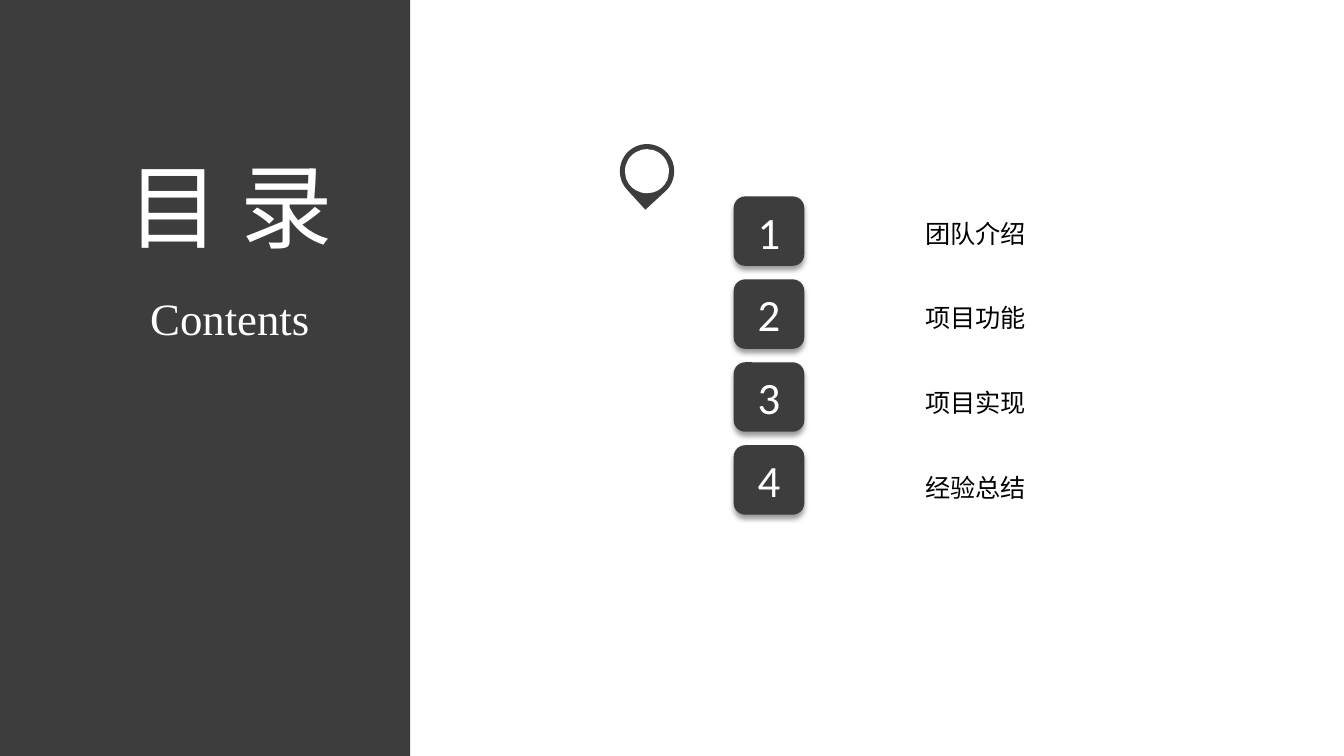
from dataclasses import dataclass

from lxml.etree import SubElement
from pptx import Presentation
from pptx.dml.color import RGBColor
from pptx.enum.shapes import MSO_SHAPE as Preset
from pptx.enum.text import MSO_ANCHOR as Anchor, MSO_AUTO_SIZE as AutoSize, PP_ALIGN as Align
from pptx.oxml.ns import qn
from pptx.util import Cm, Pt

TITLE = "目 录"
SUBTITLE = "Contents"
TOPICS = ["团队介绍", "项目功能", "项目实现", "经验总结"]


@dataclass(frozen=True)
class Theme:
    dark: RGBColor = RGBColor(0x3D, 0x3D, 0x3D)
    white: RGBColor = RGBColor(0xFF, 0xFF, 0xFF)
    black: RGBColor = RGBColor(0, 0, 0)
    chinese: str = "Noto Sans CJK SC"
    serif: str = "Times New Roman"
    digits: str = "Calibri"
    title_size: int = 66
    heading_size: int = 32
    topic_size: int = 18


THEME = Theme()
SLIDE_WIDTH, SLIDE_HEIGHT = 33.87, 19.05
PANEL_WIDTH = 10.34
TITLE_BOX = (2.59, 3.63, 6.4, 3.07)
SUBTITLE_BOX = (3.51, 7.21, 4.57, 1.63)
TILE_LEFT, TILE_TOP, TILE_WIDTH, TILE_HEIGHT, TILE_PITCH = 18.49, 4.95, 1.78, 1.75, 2.09
TOPICS_BOX = (20.9, 5.28, 7.37, 7.6)
TOPIC_LINE, TOPIC_GAP = 24, 36.5
PIN_LEFT, PIN_TOP, PIN_SIZE, PIN_RIM = 15.62, 3.63, 1.37, 0.13


def apply(target, values):
    for name, value in values.items():
        setattr(target, name, value)


def place(shape, box):
    apply(shape, dict(zip(("left", "top", "width", "height"), map(Cm, box))))


def add_block(slide, preset, box, color):
    shape = slide.shapes.add_shape(preset, *map(Cm, box))
    shape.shadow.inherit = False
    shape.fill.solid()
    shape.fill.fore_color.rgb = color
    shape.line.fill.background()
    return shape


def write(shape, lines, font, size, color, anchor=Anchor.TOP, wrap=True, gap=0, line=None):
    frame = shape.text_frame
    frame.text = "\n".join(lines)
    apply(frame, {"word_wrap": wrap, "auto_size": AutoSize.NONE, "vertical_anchor": anchor})
    for index, paragraph in enumerate(frame.paragraphs):
        properties = paragraph._p.get_or_add_pPr()
        apply(paragraph, {
            "alignment": Align.CENTER,
            "space_before": Pt(gap if index else 0),
            "line_spacing": Pt(line) if line else 1.0,
        })
        properties.set("marL", "0")
        properties.set("indent", "0")
        SubElement(properties, qn("a:buNone"))
        run = paragraph.runs[0]
        apply(run.font, {"name": font, "size": Pt(size)})
        run.font.color.rgb = color
        SubElement(run.font._element, qn("a:ea"), typeface=font)


def add_soft_shadow(shape):
    effects = shape._element.spPr.find(qn("a:effectLst"))
    shadow = SubElement(effects, qn("a:outerShdw"), blurRad=str(Pt(4)), dist=str(Pt(3)),
                        dir="5400000", algn="t", rotWithShape="0")
    color = SubElement(shadow, qn("a:srgbClr"), val="000000")
    SubElement(color, qn("a:alpha"), val="40000")


def add_panel(slide):
    panel = add_block(slide, Preset.RECTANGLE, (0, 0, PANEL_WIDTH, SLIDE_HEIGHT), THEME.dark)
    panel._element.getparent().insert(2, panel._element)
    title = slide.shapes.title
    place(title, TITLE_BOX)
    write(title, [TITLE], THEME.chinese, THEME.title_size, THEME.white, wrap=False)
    subtitle = slide.shapes.add_textbox(*map(Cm, SUBTITLE_BOX))
    write(subtitle, [SUBTITLE], THEME.serif, THEME.heading_size, THEME.white, wrap=False)


def add_topics(slide):
    for index in range(len(TOPICS)):
        box = (TILE_LEFT, TILE_TOP + index * TILE_PITCH, TILE_WIDTH, TILE_HEIGHT)
        tile = add_block(slide, Preset.ROUNDED_RECTANGLE, box, THEME.dark)
        add_soft_shadow(tile)
        write(tile, [str(index + 1)], THEME.digits, THEME.heading_size, THEME.white, Anchor.MIDDLE)
    body = slide.placeholders[1]
    place(body, TOPICS_BOX)
    write(body, TOPICS, THEME.chinese, THEME.topic_size, THEME.black,
          gap=TOPIC_GAP, line=TOPIC_LINE)


def add_pin(slide):
    pin = add_block(slide, Preset.TEAR, (PIN_LEFT, PIN_TOP, PIN_SIZE, PIN_SIZE), THEME.dark)
    pin.rotation = 137.5
    hole_size = PIN_SIZE - 2 * PIN_RIM
    hole_box = (PIN_LEFT + PIN_RIM, PIN_TOP + PIN_RIM, hole_size, hole_size)
    add_block(slide, Preset.OVAL, hole_box, THEME.white)


def main():
    presentation = Presentation()
    apply(presentation, {"slide_width": Cm(SLIDE_WIDTH), "slide_height": Cm(SLIDE_HEIGHT)})
    slide = presentation.slides.add_slide(presentation.slide_layouts[1])
    add_panel(slide)
    add_topics(slide)
    add_pin(slide)
    presentation.save("out.pptx")


if __name__ == "__main__":
    main()
